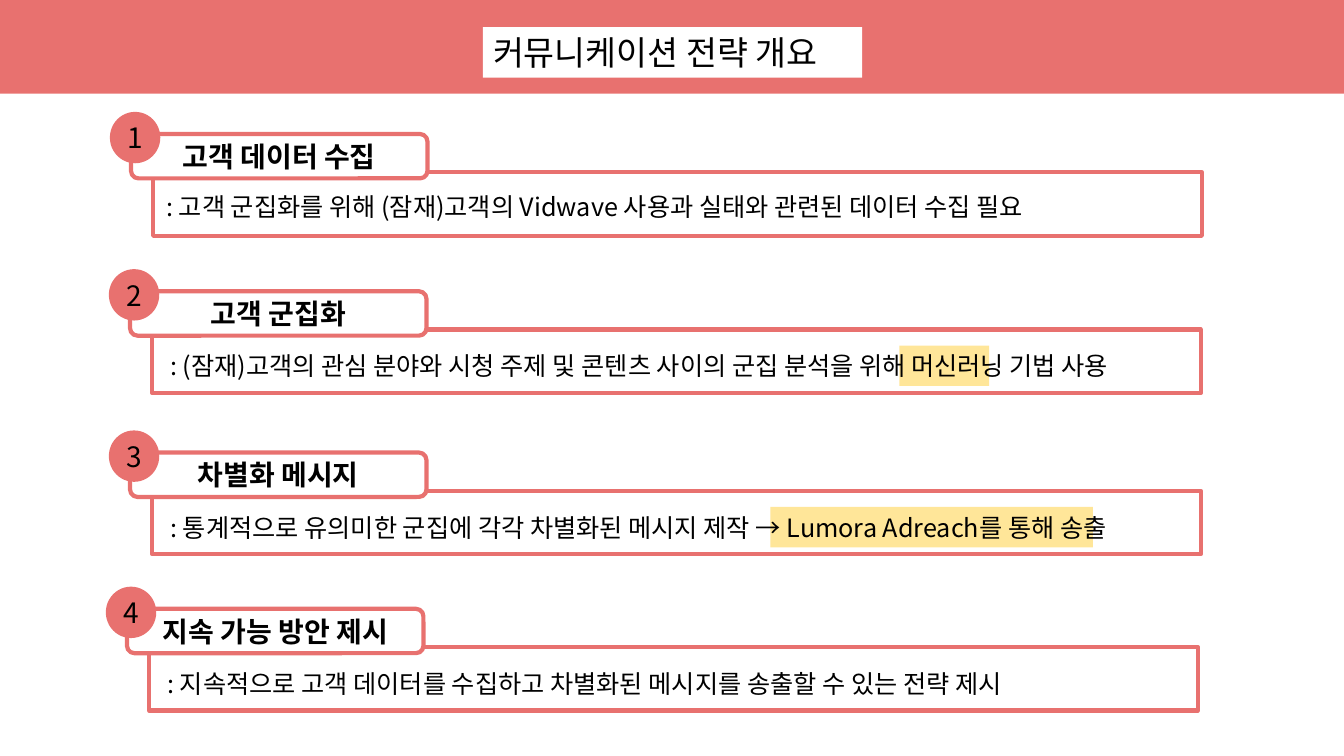
"""Build the communication strategy overview slide."""
from dataclasses import dataclass

from pptx import Presentation
from pptx.dml.color import RGBColor
from pptx.enum import shapes, text
from pptx.oxml import ns
from pptx.util import Inches, Pt

TITLE = "커뮤니케이션 전략 개요"
STEPS = [
    {"heading": "고객 데이터 수집", "corner": (1.52, 1.71), "text_offset": (0.03, 0.14),
     "detail": ": 고객 군집화를 위해 (잠재)고객의 Vidwave 사용과 실태와 관련된 데이터 수집 필요"},
    {"heading": "고객 군집화", "corner": (1.51, 3.27), "text_offset": (0.08, 0.16),
     "detail": ": (잠재)고객의 관심 분야와 시청 주제 및 콘텐츠 사이의 군집 분석을 위해 머신러닝 기법 사용",
     "highlight": (8.92, 0.89)},
    {"heading": "차별화 메시지", "corner": (1.51, 4.87), "text_offset": (0.08, 0.16),
     "detail": ": 통계적으로 유의미한 군집에 각각 차별화된 메시지 제작 → Lumora Adreach를 통해 송출",
     "highlight": (7.64, 3.2)},
    {"heading": "지속 가능 방안 제시", "corner": (1.48, 6.42), "text_offset": (0.08, 0.16),
     "detail": ": 지속적으로 고객 데이터를 수집하고 차별화된 메시지를 송출할 수 있는 전략 제시"},
]


@dataclass(frozen=True)
class Theme:
    """Colours, font and type sizes."""
    coral: RGBColor = RGBColor(0xE8, 0x71, 0x6F)
    white: RGBColor = RGBColor(0xFF, 0xFF, 0xFF)
    black: RGBColor = RGBColor(0, 0, 0)
    yellow: RGBColor = RGBColor(0xFF, 0xE6, 0x99)
    font: str = "Noto Sans CJK KR"
    title: int = 24
    heading: int = 20
    detail: int = 18
    outline: int = 3


THEME = Theme()
SHAPE = shapes.MSO_SHAPE


def write(shape, words, size, align, bold=False):
    """Put one styled line of text in a shape."""
    frame = shape.text_frame
    frame.text = words
    frame.word_wrap = True
    frame.auto_size = text.MSO_AUTO_SIZE.NONE
    frame.vertical_anchor = text.MSO_ANCHOR.MIDDLE
    paragraph = frame.paragraphs[0]
    paragraph.alignment = align
    font = paragraph.runs[0].font
    font.name, font.size, font.bold = THEME.font, Pt(size), bold
    font.color.rgb = THEME.black
    properties = paragraph.runs[0]._r.get_or_add_rPr()
    east_asian = properties.makeelement(ns.qn("a:ea"), {"typeface": THEME.font})
    properties.find(ns.qn("a:latin")).addnext(east_asian)


def add_block(slide, kind, box, fill, outlined=False):
    """Add a flat filled shape, with a coral outline if asked."""
    shape = slide.shapes.add_shape(kind, *map(Inches, box))
    shape.shadow.inherit = False
    shape.fill.solid()
    shape.fill.fore_color.rgb = fill
    if outlined:
        shape.line.color.rgb = THEME.coral
        shape.line.width = Pt(THEME.outline)
    else:
        shape.line.fill.background()
    return shape


def add_title(slide):
    """Place the title in its white box on the coral band."""
    title = slide.shapes.title
    title.left, title.top, title.width, title.height = map(Inches, (4.79, 0.27, 3.76, 0.5))
    title.fill.solid()
    title.fill.fore_color.rgb = THEME.white
    write(title, TITLE, THEME.title, text.PP_ALIGN.LEFT)


def add_step(slide, number, step):
    """Add a card with its heading tab, number badge and detail line."""
    left, top = step["corner"]
    center = text.PP_ALIGN.CENTER
    add_block(slide, SHAPE.RECTANGLE, (left, top, 10.4, 0.63), THEME.white, True)
    tab = add_block(slide, SHAPE.ROUNDED_RECTANGLE, (left - 0.22, top - 0.38, 2.94, 0.44),
                    THEME.white, True)
    write(tab, step["heading"], THEME.heading, center, True)
    badge = add_block(slide, SHAPE.OVAL, (left - 0.43, top - 0.6, 0.5, 0.51), THEME.coral)
    write(badge, str(number), THEME.heading, center)
    shift, drop = step["text_offset"]
    if "highlight" in step:
        mark_left, mark_width = step["highlight"]
        add_block(slide, SHAPE.RECTANGLE, (mark_left, top + drop, mark_width, 0.4), THEME.yellow)
    detail = slide.shapes.add_textbox(*map(Inches, (left + shift, top + drop, 10.69, 0.4)))
    write(detail, step["detail"], THEME.detail, text.PP_ALIGN.LEFT)


def main():
    """Assemble and save the slide."""
    presentation = Presentation()
    presentation.slide_width, presentation.slide_height = Inches(13.33), Inches(7.5)
    slide = presentation.slides.add_slide(presentation.slide_layouts.get_by_name("Title Only"))
    slide.background.fill.solid()
    slide.background.fill.fore_color.rgb = THEME.coral
    add_block(slide, SHAPE.RECTANGLE, (0, 0.93, 13.33, 6.57), THEME.white)
    add_title(slide)
    for number, step in enumerate(STEPS, 1):
        add_step(slide, number, step)
    presentation.save("out.pptx")


if __name__ == "__main__":
    main()
